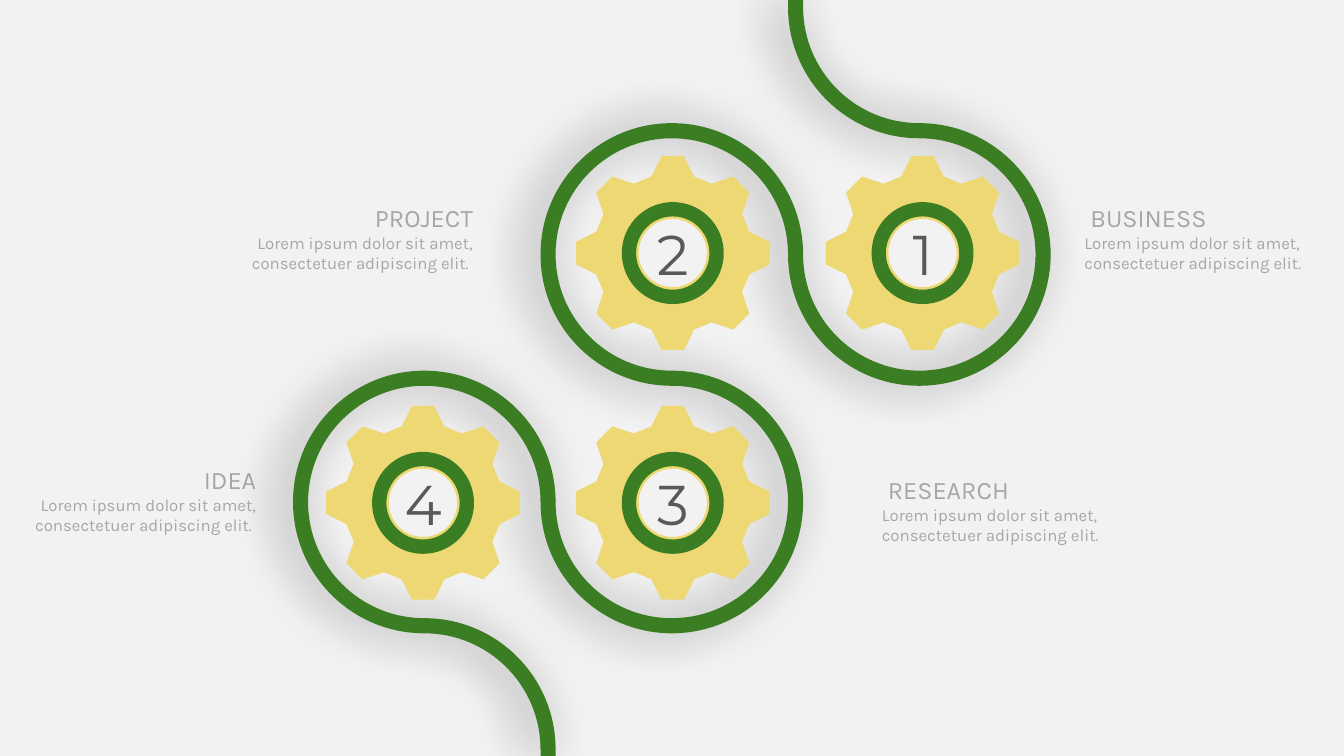
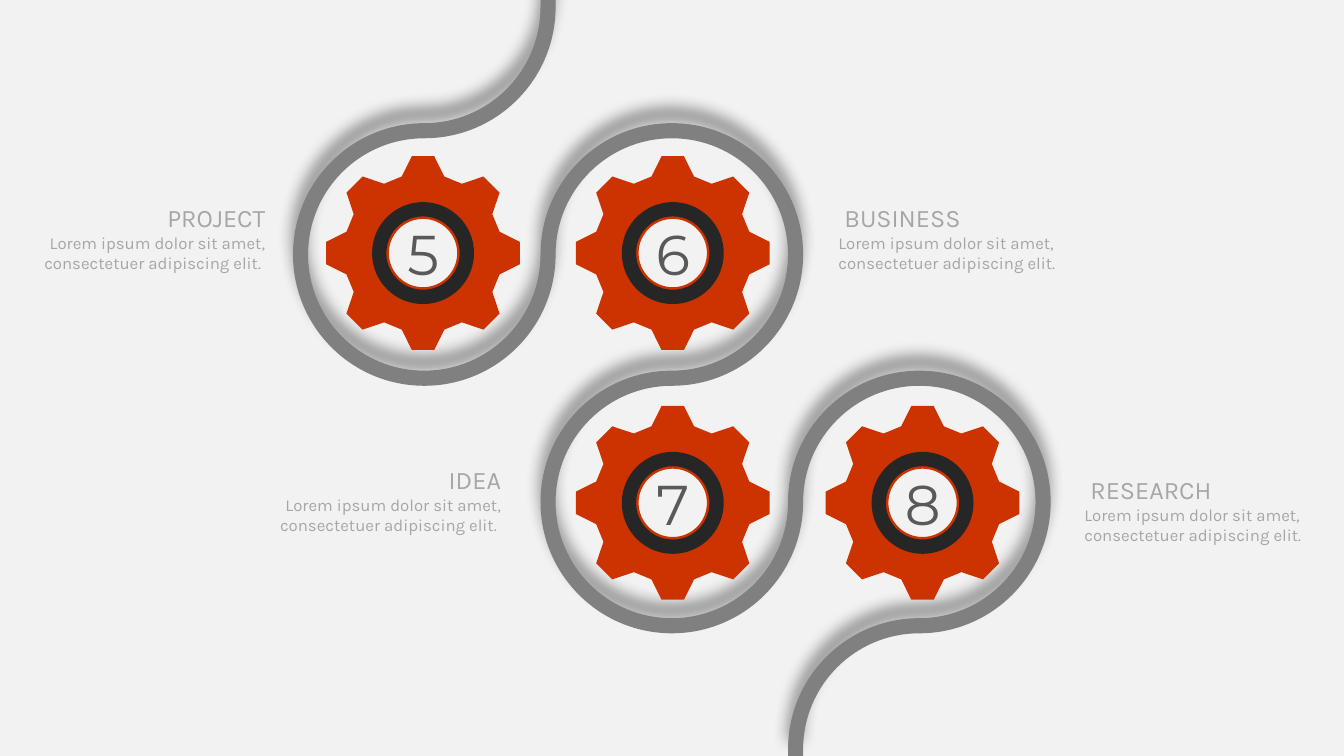
import math

import lxml.etree
import pptx
import pptx.dml.color
import pptx.enum.shapes
import pptx.enum.text
import pptx.oxml.ns
import pptx.util

Pt = pptx.util.Pt
RGBColor = pptx.dml.color.RGBColor
ALIGN = pptx.enum.text.PP_ALIGN
qn = pptx.oxml.ns.qn

PAPER = RGBColor(0xF2, 0xF2, 0xF2)
CAPTION_GREY = RGBColor(0xA6, 0xA6, 0xA6)
NUMBER_GREY = RGBColor(0x59, 0x59, 0x59)
GREEN = RGBColor(0x3B, 0x7D, 0x23)
SAND = RGBColor(0xED, 0xD8, 0x74)
MID_GREY = RGBColor(0x80, 0x80, 0x80)
RED = RGBColor(0xCC, 0x33, 0x00)
CHARCOAL = RGBColor(0x26, 0x26, 0x26)

SLIDE_WIDTH, SLIDE_HEIGHT = 960, 540
RIBBON_LEFT, RIBBON_WIDTH = 209.2, 541.4
LOOP_RADIUS, RIBBON_THICKNESS = 88.4, 10.8
FIRST_LOOP_Y = 181.8

GEAR_SIZE, GEAR_STEP = 138.4, 178.4
GEAR_LEFT, GEAR_TOP = 233, 111.6
HOLE_RADIUS = 24.4
GEAR_QUADRANT = [(69.2, -8), (69.2, 8), (54.7, 15.2), (49.5, 27.8),
                 (54.7, 43.2), (43.2, 54.7), (27.8, 49.5), (15.2, 54.7)]
HUB_SIZE = 72.8
NUMBER_WIDTH, NUMBER_HEIGHT = 63.4, 55.4

CAPTION_HEIGHT = 74.9
BLURB = "Lorem ipsum dolor sit amet, consectetuer adipiscing elit."


def arc(center_x, center_y, radius, start, end):
    turn = 90 if end > start else -90
    handle = 4 / 3 * math.tan(math.radians(turn) / 4)

    def place(angle, pull):
        c, s = math.cos(math.radians(angle)), math.sin(math.radians(angle))
        return center_x + radius * (c - pull * s), center_y + radius * (s + pull * c)

    segments = [[place(start, 0)]]
    for angle in range(start, end, turn):
        segments.append([place(angle, handle), place(angle + turn, -handle),
                         place(angle + turn, 0)])
    return segments


def paint(shape, color):
    shape.shadow.inherit = False
    shape.fill.solid()
    shape.fill.fore_color.rgb = color
    shape.line.fill.background()


def add_outline(slide, contours, color):
    builder = None
    for contour in contours:
        points = [(Pt(x), Pt(y)) for segment in contour for x, y in segment]
        if builder is None:
            builder = slide.shapes.build_freeform(*points[0], scale=1.0)
        else:
            builder.move_to(*points[0])
        builder.add_line_segments(points[1:], close=True)
    outline = builder.convert_to_shape()
    paint(outline, color)
    steps = iter(list(outline._element.spPr.iter(qn("a:lnTo"))))
    for segment in (segment for contour in contours for segment in contour[1:]):
        first, *others = [next(steps) for _ in segment]
        if others:
            curve = lxml.etree.Element(qn("a:cubicBezTo"))
            first.addprevious(curve)
            for step in [first] + others:
                curve.append(step[0])
                step.getparent().remove(step)
    return outline


def add_soft_shadow(shape, blur, distance, direction):
    effects = shape._element.spPr.find(qn("a:effectLst"))
    shadow = lxml.etree.SubElement(
        effects, qn("a:outerShdw"), blurRad=str(Pt(blur)), dist=str(Pt(distance)),
        dir=str(direction * 60000), algn="ctr", rotWithShape="0")
    tint = lxml.etree.SubElement(shadow, qn("a:srgbClr"), val="000000")
    lxml.etree.SubElement(tint, qn("a:alpha"), val="40000")


def add_ribbon(slide, left, width, color, mirrored, shadow):
    step = 2 * LOOP_RADIUS
    near, middle, far = [left + width / 2 + step * k for k in (-1, 0, 1)]
    upper, lower = FIRST_LOOP_Y, FIRST_LOOP_Y + step
    bends = [(far, upper - step, 180, 90), (far, upper, -90, 180),
             (middle, upper, 0, -270), (middle, lower, -90, 180),
             (near, lower, 0, -270), (near, lower + step, -90, 0)]
    way_back = [(x, y, end, start) for x, y, start, end in reversed(bends)]

    def edge(route, entry_y, exit_y):
        segments = []
        for x, y, start, end in route:
            side = 1 if end > start else -1
            segments += arc(x, y, LOOP_RADIUS + side * RIBBON_THICKNESS / 2, start, end)
        return [[(segments[0][0][0], entry_y)]] + segments + [[(segments[-1][-1][0], exit_y)]]

    contour = edge(bends, 0, SLIDE_HEIGHT) + edge(way_back, SLIDE_HEIGHT, 0)
    if mirrored:
        contour = [[(2 * left + width - x, y) for x, y in segment] for segment in contour]
    add_soft_shadow(add_outline(slide, [contour], color), *shadow)


def add_gear(slide, left, top, color):
    x, y = left + GEAR_SIZE / 2, top + GEAR_SIZE / 2
    teeth, quadrant = [], GEAR_QUADRANT
    for _ in range(4):
        teeth += [[(x + dx, y + dy)] for dx, dy in quadrant]
        quadrant = [(-dy, dx) for dx, dy in quadrant]
    add_outline(slide, [teeth, arc(x, y, HOLE_RADIUS, 360, 0)], color)


def add_hub(slide, left, top, color):
    inset = (GEAR_SIZE - HUB_SIZE) / 2
    hub = slide.shapes.add_shape(pptx.enum.shapes.MSO_SHAPE.DONUT, Pt(left + inset),
                                 Pt(top + inset), Pt(HUB_SIZE), Pt(HUB_SIZE))
    hub.adjustments[0] = 0.14
    paint(hub, color)


def add_text(slide, box, lines, font_name, color, alignment):
    frame = slide.shapes.add_textbox(*[Pt(length) for length in box]).text_frame
    frame.word_wrap = True
    frame.auto_size = pptx.enum.text.MSO_AUTO_SIZE.SHAPE_TO_FIT_TEXT
    frame.text = "\n".join(text for text, _ in lines)
    for paragraph, (_, size) in zip(frame.paragraphs, lines):
        paragraph.alignment = alignment
        for run in paragraph.runs:
            run.font.name = font_name
            run.font.size = Pt(size)
            run.font.color.rgb = color


def add_number(slide, left, top, number):
    box = (left + (GEAR_SIZE - NUMBER_WIDTH) / 2, top + (GEAR_SIZE - NUMBER_HEIGHT) / 2,
           NUMBER_WIDTH, NUMBER_HEIGHT)
    add_text(slide, box, [(str(number), 40)], "Montserrat", NUMBER_GREY, ALIGN.CENTER)


def add_caption(slide, left, top, title, width, alignment):
    if alignment == ALIGN.RIGHT:
        lines = [(title, 18), (BLURB + " ", 12)]
    else:
        lines = [(" " + title, 18), (BLURB, 12)]
    add_text(slide, (left, top, width, CAPTION_HEIGHT), lines, "Karla", CAPTION_GREY, alignment)


def add_gear_slide(deck, ribbon, gear, hub, mirrored, shadow, first_number, cells, caption_lefts):
    slide = deck.slides.add_slide(deck.slide_layouts[6])
    slide.background.fill.solid()
    slide.background.fill.fore_color.rgb = PAPER
    add_ribbon(slide, RIBBON_LEFT, RIBBON_WIDTH, ribbon, mirrored, shadow)
    places = [(GEAR_LEFT + GEAR_STEP * column, GEAR_TOP + GEAR_STEP * row)
              for column, row in cells]
    for number, (left, top) in enumerate(places, first_number):
        add_gear(slide, left, top, gear)
        add_hub(slide, left, top, hub)
        add_number(slide, left, top, number)
    captions = [("PROJECT", 141.1, 175, ALIGN.RIGHT), ("IDEA", 328.3, 172.8, ALIGN.RIGHT),
                ("BUSINESS", 141.1, 190, ALIGN.LEFT), ("RESEARCH", 335.5, 190, ALIGN.LEFT)]
    for left, (title, top, width, alignment) in zip(caption_lefts, captions):
        add_caption(slide, left, top, title, width, alignment)


def main():
    deck = pptx.Presentation()
    deck.slide_width, deck.slide_height = Pt(SLIDE_WIDTH), Pt(SLIDE_HEIGHT)
    add_gear_slide(deck, GREEN, SAND, GREEN, False, (35, 8, 180), 1,
                   [(2, 0), (1, 0), (1, 1), (0, 1)], (169.9, 17.3, 767.5, 622.8))
    add_gear_slide(deck, MID_GREY, RED, CHARCOAL, True, (10, 11, 270), 5,
                   [(0, 0), (1, 0), (1, 1), (2, 1)], (21.6, 192.2, 591.8, 767.5))
    deck.save("out.pptx")


if __name__ == "__main__":
    main()
